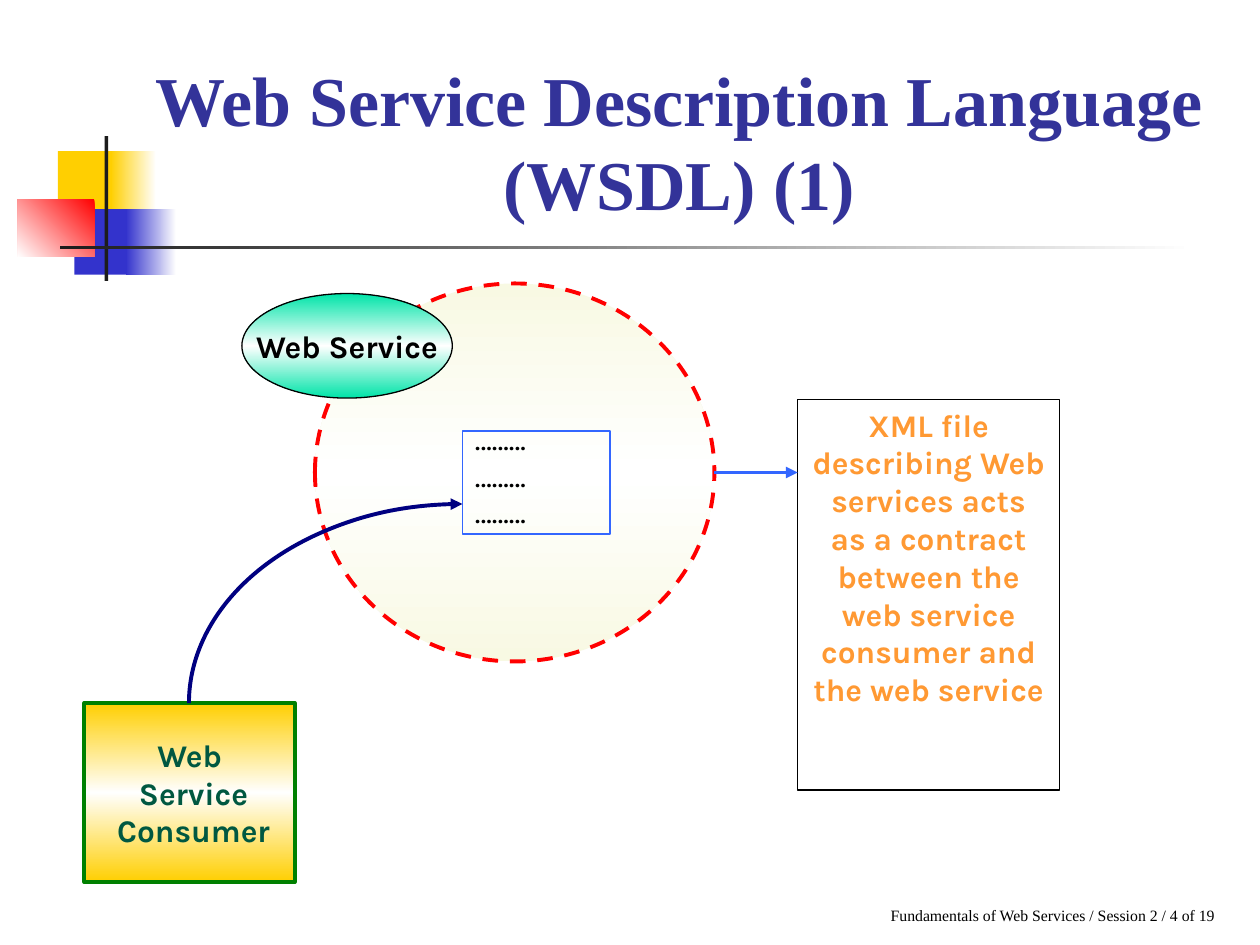
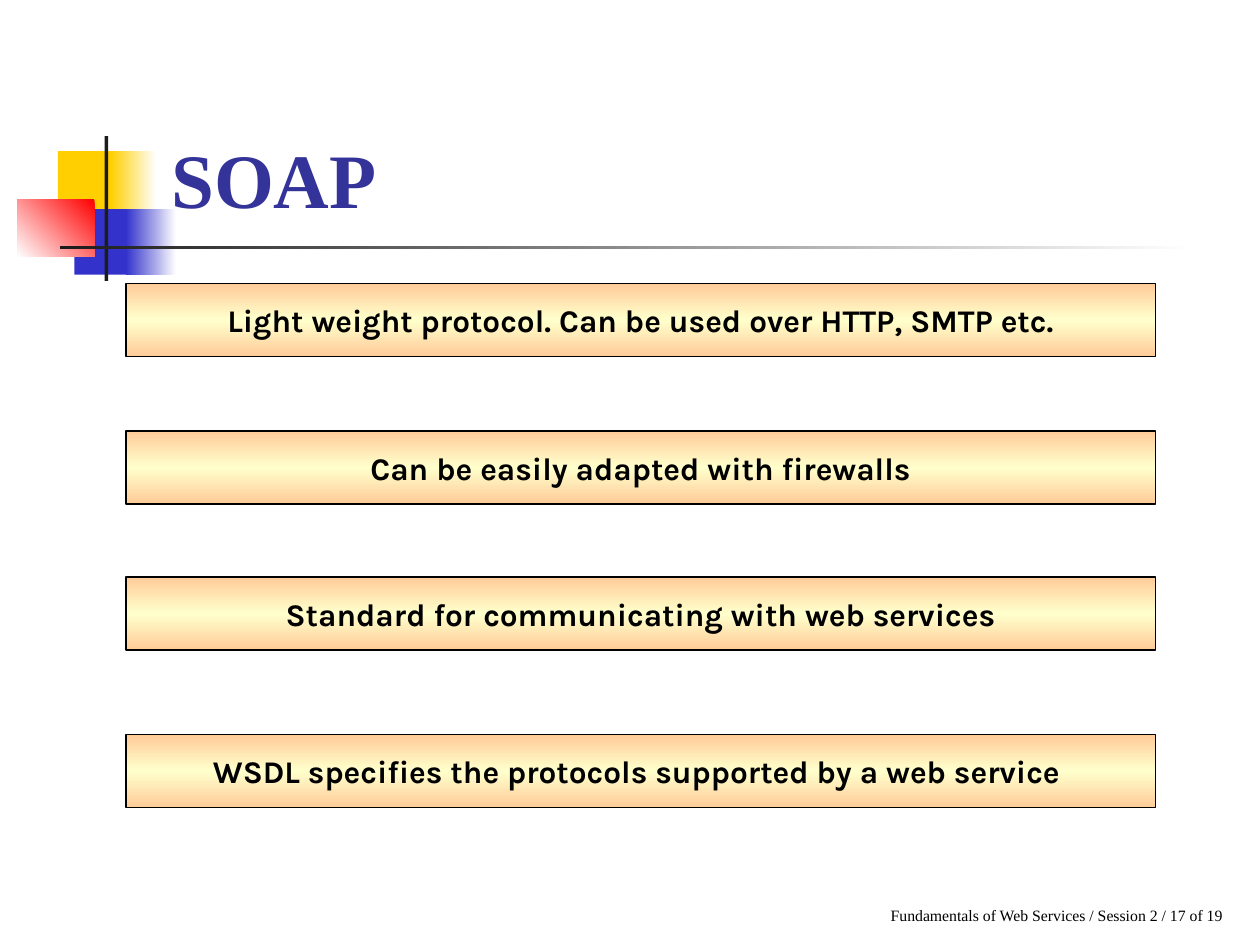
from dataclasses import dataclass

from lxml import etree
from pptx import Presentation
from pptx import util as u
from pptx.dml.color import RGBColor
from pptx.enum import dml, shapes, text
from pptx.oxml import ns


@dataclass(frozen=True)
class Theme:
    title_font: str = "Times New Roman"
    body_font: str = "Karla"
    body_size: float = 18
    footer_size: float = 9
    title: str = "333399"
    black: str = "000000"
    white: str = "FFFFFF"
    ink: str = "1C1C1C"
    gold: str = "FFCF01"
    blue: str = "3333CC"
    red: str = "FF0000"
    green: str = "008000"
    dark_green: str = "005841"
    mint: str = "00E4A8"
    cream: str = "F8F9E3"
    sky: str = "3366FF"
    navy: str = "000080"
    orange: str = "FF9933"
    peach: str = "FFCC99"
    pale_yellow: str = "FFFFCC"


T = Theme()
RECT = shapes.MSO_SHAPE.RECTANGLE
OVAL = shapes.MSO_SHAPE.OVAL
CENTER = text.PP_ALIGN.CENTER
LEFT = text.PP_ALIGN.LEFT
MIDDLE = text.MSO_ANCHOR.MIDDLE
TOP = text.MSO_ANCHOR.TOP


def inches(values):
    return [u.Inches(v) for v in values]


def paint(sp, colors, angle):
    if not colors:
        sp.fill.background()
    elif len(colors) == 1:
        sp.fill.solid()
        sp.fill.fore_color.rgb = RGBColor.from_string(colors[0])
    else:
        sp.fill.gradient()
        grad = sp._element.spPr.find(ns.qn("a:gradFill"))
        stops = grad.find(ns.qn("a:gsLst"))
        for stop in list(stops):
            stops.remove(stop)
        for i, color in enumerate(colors):
            pos = str(100000 * i // (len(colors) - 1))
            stop = etree.SubElement(stops, ns.qn("a:gs"), pos=pos)
            etree.SubElement(stop, ns.qn("a:srgbClr"), val=color)
        grad.find(ns.qn("a:lin")).set("ang", str(angle * 60000))


def outline(sp, color, width, arrow=False):
    sp.line.color.rgb = RGBColor.from_string(color)
    sp.line.width = u.Pt(width)
    if arrow:
        ln = sp.line._get_or_add_ln()
        etree.SubElement(ln, ns.qn("a:tailEnd"), type="triangle")


def add_shape(slide, kind, box, colors=(), angle=90, line=None):
    sp = slide.shapes.add_shape(kind, *inches(box))
    sp.shadow.inherit = False
    paint(sp, colors, angle)
    if line:
        outline(sp, *line)
    else:
        sp.line.fill.background()
    return sp


def write(sp, lines, size=T.body_size, color=T.black, font=T.body_font, bold=True,
          align=CENTER, anchor=MIDDLE, wrap=False, spacing=None, before=0):
    tf = sp.text_frame
    tf.word_wrap = wrap
    tf.auto_size = text.MSO_AUTO_SIZE.NONE
    tf.vertical_anchor = anchor
    for i, line in enumerate(lines):
        p = tf.add_paragraph() if i else tf.paragraphs[0]
        p.alignment = align
        if spacing:
            p.line_spacing = spacing
        if i and before:
            p.space_before = u.Pt(before)
        r = p.add_run()
        r.text = line
        r.font.name = font
        r.font.size = u.Pt(size)
        r.font.bold = bold
        r.font.color.rgb = RGBColor.from_string(color)


def add_arrow(slide, start, end, color, width):
    line = slide.shapes.add_connector(
        shapes.MSO_CONNECTOR.STRAIGHT, *inches(start + end))
    outline(line, color, width, arrow=True)
    etree.SubElement(line._element.spPr, ns.qn("a:effectLst"))


def add_curved_arrow(slide, start, end, color, width):
    rx, ry = end[0] - start[0], start[1] - end[1]
    arc = add_shape(slide, shapes.MSO_SHAPE.ARC, (start[0], end[1], 2 * rx, 2 * ry))
    arc.adjustments[0] = 108
    arc.adjustments[1] = 162
    outline(arc, color, width, arrow=True)


def add_base(prs, title, title_box, title_size, align, page):
    slide = prs.slides.add_slide(prs.slide_layouts[5])
    for box, colors, angle in (
        ((0.46, 1.2, 0.48, 0.52), [T.gold], 0),
        ((0.88, 1.2, 0.36, 0.52), [T.white, T.gold], 180),
        ((0.59, 1.66, 0.46, 0.52), [T.blue], 0),
        ((1, 1.66, 0.4, 0.52), [T.white, T.blue], 180),
        ((0.14, 1.58, 0.61, 0.46), [T.red, T.white], 135),
        ((0.83, 1.08, 0.03, 1.15), [T.ink], 0),
        ((0.48, 1.95, 9, 0.03), [T.white, T.ink], 180),
    ):
        add_shape(slide, RECT, box, colors, angle)
    footer = slide.shapes.add_textbox(*inches((6.97, 7.14, 2.95, 0.25)))
    write(footer, [f"Fundamentals of Web Services / Session 2 / {page} of 19"],
          T.footer_size, font=T.title_font, bold=False, align=LEFT, anchor=TOP, wrap=True)
    heading = slide.shapes.title
    heading.left, heading.top, heading.width, heading.height = inches(title_box)
    write(heading, [title], title_size, T.title, T.title_font,
          align=align, anchor=text.MSO_ANCHOR.BOTTOM, wrap=True)
    slide.shapes._spTree.append(heading._element)
    return slide


def build_wsdl(prs):
    slide = add_base(prs, "Web Service Description Language (WSDL) (1)",
                     (1, 0.23, 8.78, 1.6), 40, CENTER, 4)
    consumer = add_shape(slide, RECT, (0.67, 5.58, 1.67, 1.42),
                         [T.gold, T.white, T.gold], line=(T.green, 2.25))
    write(consumer, ["Web", " Service", " Consumer"], color=T.dark_green)
    boundary = add_shape(slide, OVAL, (2.5, 2.25, 3.17, 3),
                         [T.cream, T.white, T.cream], line=(T.red, 2.25))
    boundary.line.dash_style = dml.MSO_LINE.DASH
    document = add_shape(slide, RECT, (3.67, 3.42, 1.17, 0.82), line=(T.sky, 1))
    write(document, ["………"] * 3, bold=False, align=LEFT, anchor=TOP,
          wrap=True, spacing=0.45, before=11.2)
    service = add_shape(slide, OVAL, (1.92, 2.33, 1.67, 0.83),
                        [T.mint, T.white, T.mint], line=(T.black, 0.75))
    write(service, ["Web Service"])
    add_curved_arrow(slide, (1.5, 5.58), (3.67, 4), T.navy, 2.25)
    contract = add_shape(slide, RECT, (6.33, 3.17, 2.08, 3.1), line=(T.black, 0.75))
    write(contract, ["XML file describing Web services acts as a contract between "
                     "the web service consumer and the web service"],
          color=T.orange, anchor=TOP, wrap=True)
    add_arrow(slide, (5.67, 3.75), (6.33, 3.75), T.sky, 2.25)


def build_soap(prs):
    slide = add_base(prs, "SOAP", (1.26, 0.23, 8.52, 1.6), 44, LEFT, 17)
    for top, fact in (
        (2.25, "Light weight protocol. Can be used over HTTP, SMTP etc."),
        (3.42, "Can be easily adapted with firewalls"),
        (4.58, "Standard for communicating with web services"),
        (5.83, "WSDL specifies the protocols supported by a web service "),
    ):
        bar = add_shape(slide, RECT, (1, top, 8.17, 0.58),
                        [T.peach, T.pale_yellow, T.peach], line=(T.black, 0.75))
        write(bar, [fact])


def main():
    prs = Presentation()
    prs.slide_width, prs.slide_height = inches((10, 7.5))
    build_wsdl(prs)
    build_soap(prs)
    prs.save("out.pptx")


if __name__ == "__main__":
    main()
